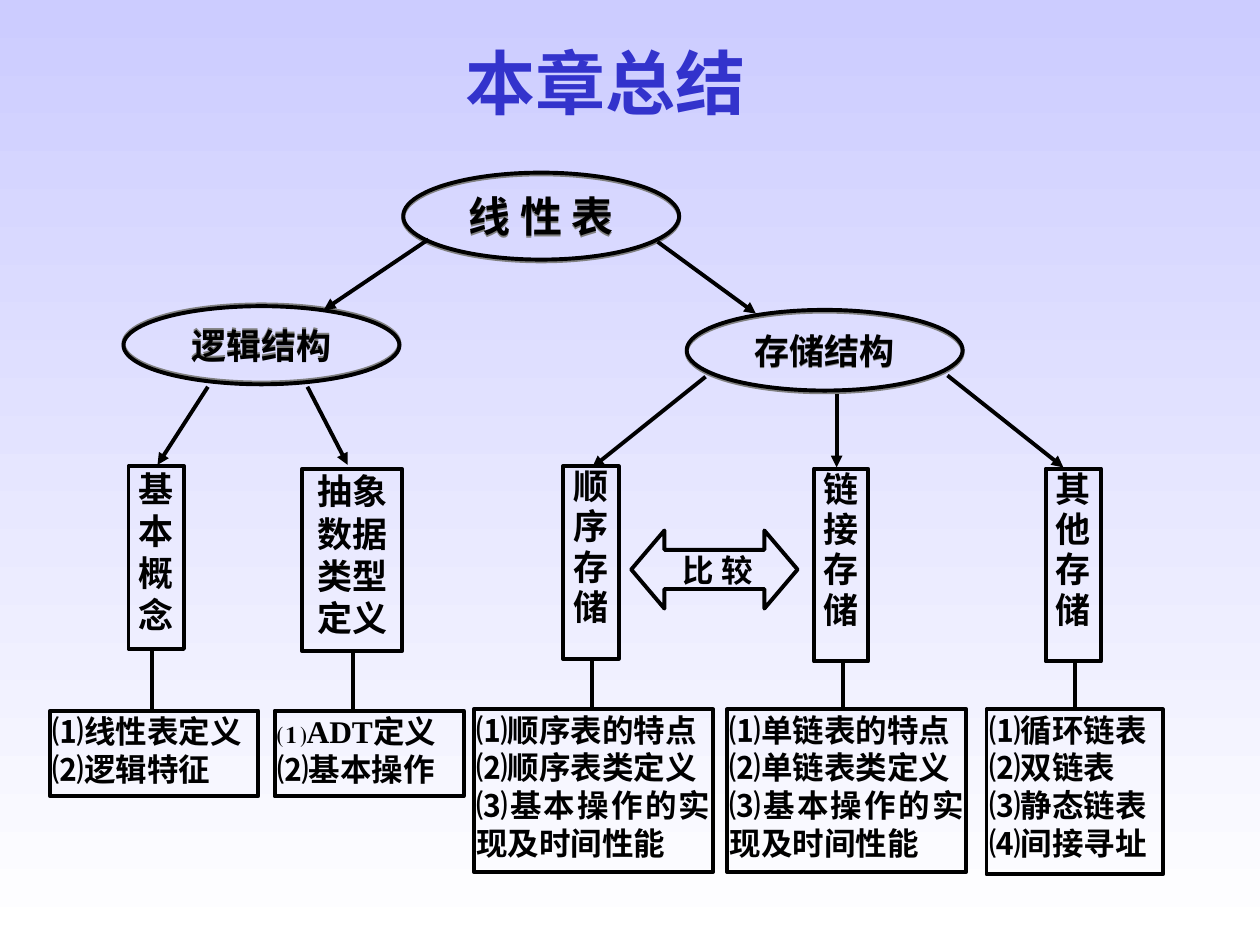
import pptx
import pptx.util
import pptx.dml.color
import pptx.enum.shapes
import pptx.enum.text
import pptx.oxml
import pptx.oxml.ns

RGB = pptx.dml.color.RGBColor
INK, BLUE = RGB(0, 0, 0), RGB(0x33, 0x33, 0xCC)
SKY, WHITE = RGB(0xCC, 0xCC, 0xFF), RGB(0xFF, 0xFF, 0xFF)
KIND = pptx.enum.shapes.MSO_SHAPE
ALIGN = pptx.enum.text.PP_ALIGN
ANCHOR = pptx.enum.text.MSO_ANCHOR
FIT = pptx.enum.text.MSO_AUTO_SIZE
INCH, PT = pptx.util.Inches, pptx.util.Pt

# Content: text, left, top, height, size, shadow angle
TITLE = "本章总结"
OVALS = [
    ("线 性 表", 3.2, 1.37, 0.69, 24, 90),
    ("逻辑结构", 0.98, 2.43, 0.62, 20, 270),
    ("存储结构", 5.45, 2.46, 0.64, 20, 90),
]
OVAL_W = 2.19
# Topic columns: topic lines, its box, line spacing, notes, their box, stem x
TOPICS = [
    (["基本概念"], (1.02, 3.7, 0.44, 1.45), None,
     ["⑴线性表定义", "⑵逻辑特征"], (0.4, 5.64, 1.65, 0.68), 1.21),
    (["抽象", "数据", "类型", "定义"], (2.4, 3.72, 0.79, 1.45), None,
     ["⑴ADT定义", "⑵基本操作"], (2.18, 5.64, 1.5, 0.68), 2.8),
    (["顺序存储"], (4.47, 3.7, 0.44, 1.53), 0.96,
     ["⑴顺序表的特点", "⑵顺序表类定义", "⑶基本操作的实现及时间性能"],
     (3.76, 5.63, 1.9, 1.29), 4.7),
    (["链接存储"], (6.46, 3.72, 0.43, 1.53), 0.96,
     ["⑴单链表的特点", "⑵单链表类定义", "⑶基本操作的实现及时间性能"],
     (5.77, 5.63, 1.9, 1.29), 6.69),
    (["其他存储"], (8.3, 3.72, 0.44, 1.53), 0.96,
     ["⑴循环链表", "⑵双链表", "⑶静态链表", "⑷间接寻址"],
     (7.83, 5.63, 1.4, 1.31), 8.53),
]
ARROWS = [
    (3.4, 1.9, 2.57, 2.46), (5.22, 1.92, 6, 2.49),
    (1.65, 3.07, 1.25, 3.69), (2.44, 3.07, 2.76, 3.69),
    (5.6, 2.99, 4.7, 3.71), (6.64, 3.13, 6.64, 3.71), (7.52, 2.98, 8.44, 3.71),
]
INSET = (0.02, 0.01, 0.02, 0.01)


def style(item, **vals):
    for key, val in vals.items():
        setattr(item, key, val)


def write(shape, lines, size, align, font="Times New Roman", color=INK,
          inset=(0.1, 0.05, 0.1, 0.05), anchor=ANCHOR.TOP, gap=None):
    frame = shape.text_frame
    sides = ("margin_left", "margin_top", "margin_right", "margin_bottom")
    style(frame, word_wrap=True, auto_size=FIT.NONE, vertical_anchor=anchor,
          **dict(zip(sides, map(INCH, inset))))
    for i, line in enumerate(lines):
        para = frame.add_paragraph() if i else frame.paragraphs[0]
        style(para, alignment=align, line_spacing=gap)
        run = para.add_run()
        run.text = line
        style(run.font, name=font, size=PT(size), bold=True)
        run.font.color.rgb = color


def draw(kind, box):
    shape = slide.shapes.add_shape(kind, *map(INCH, box))
    shape.shadow.inherit = False
    shape.fill.background()
    shape.line.color.rgb = INK
    shape.line.width = PT(2.25)
    return shape


def link(x1, y1, x2, y2, head=False):
    line = slide.shapes.add_connector(
        pptx.enum.shapes.MSO_CONNECTOR.STRAIGHT, *map(INCH, (x1, y1, x2, y2)))
    line.line.color.rgb = INK
    line.line.width = PT(2.25)
    props = line._element.spPr
    if head:
        tip = pptx.oxml.parse_xml(
            f'<a:tailEnd {pptx.oxml.ns.nsdecls("a")} type="triangle"/>')
        props.find(pptx.oxml.ns.qn("a:ln")).append(tip)
    props.append(pptx.oxml.parse_xml(
        f'<a:effectLst {pptx.oxml.ns.nsdecls("a")}/>'))


def shade(shape, angle):
    effects = shape._element.spPr.find(pptx.oxml.ns.qn("a:effectLst"))
    effects.append(pptx.oxml.parse_xml(
        f'<a:outerShdw {pptx.oxml.ns.nsdecls("a")} dist="12700" '
        f'dir="{angle * 60000}" algn="ctr" rotWithShape="0">'
        '<a:srgbClr val="808080"/></a:outerShdw>'))


deck = pptx.Presentation()
style(deck, slide_width=INCH(10), slide_height=INCH(7.5))
slide = deck.slides.add_slide(deck.slide_layouts[5])

# Background
fill = slide.background.fill
fill.gradient()
fill.gradient_angle = 270
for stop, color, place in zip(fill.gradient_stops, (SKY, WHITE), (0, 1)):
    stop.color.rgb = color
    stop.position = place

# Title
title = slide.shapes.title
style(title, left=INCH(2.39), top=INCH(0.26), width=INCH(4.83), height=INCH(0.77))
write(title, [TITLE], 40, ALIGN.CENTER, "Arial", BLUE, anchor=ANCHOR.MIDDLE)

# Ovals
for text, left, top, high, size, angle in OVALS:
    oval = draw(KIND.OVAL, (left, top, OVAL_W, high))
    shade(oval, angle)
    write(oval, [text], size, ALIGN.CENTER, anchor=ANCHOR.MIDDLE)

# Topics with their notes and stems
for topic, box, gap, notes, area, stem in TOPICS:
    write(draw(KIND.RECTANGLE, box), topic, 20, ALIGN.CENTER, inset=INSET, gap=gap)
    write(draw(KIND.RECTANGLE, area), notes, 18, ALIGN.JUSTIFY, inset=INSET)
    link(stem, box[1] + box[3], stem, area[1])

# Comparison arrow
both = draw(KIND.LEFT_RIGHT_ARROW, (5.01, 4.21, 1.32, 0.62))
both.adjustments[0], both.adjustments[1] = 0.5, 0.425
write(both, [" 比 较"], 18, ALIGN.CENTER, inset=(0.02, 0, 0.02, 0),
      anchor=ANCHOR.MIDDLE)

# Tree arrows
for ends in ARROWS:
    link(*ends, head=True)

deck.save("out.pptx")
